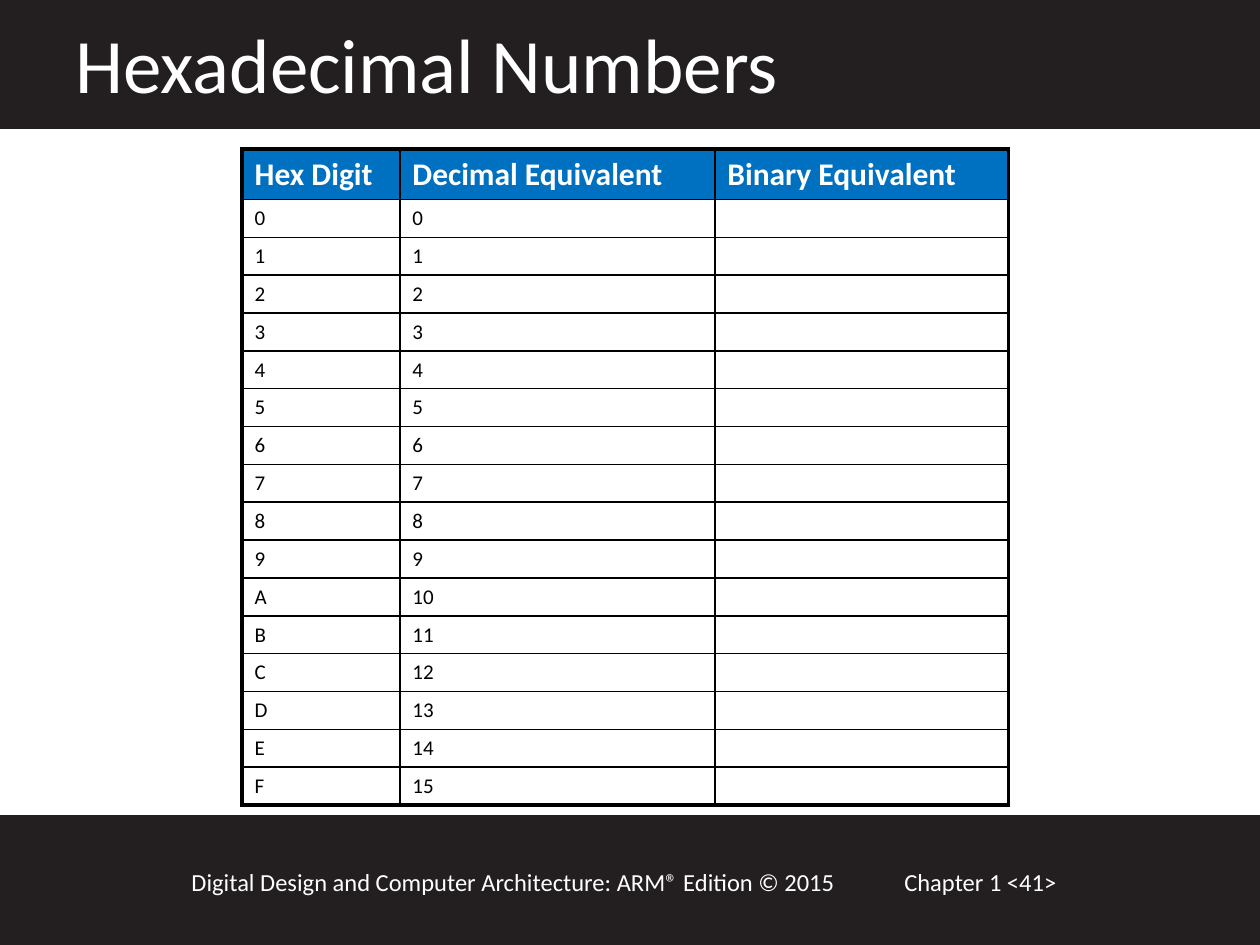
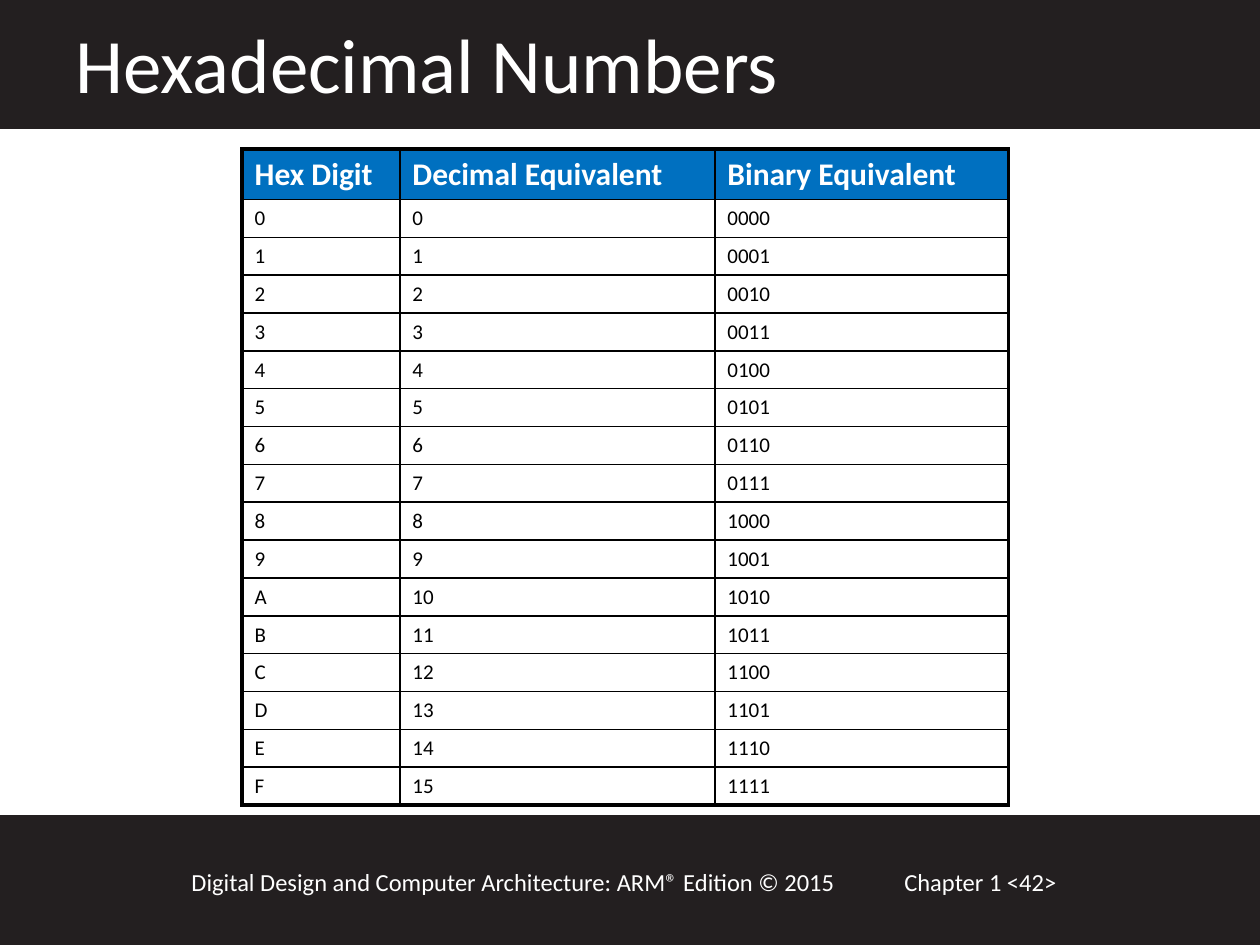
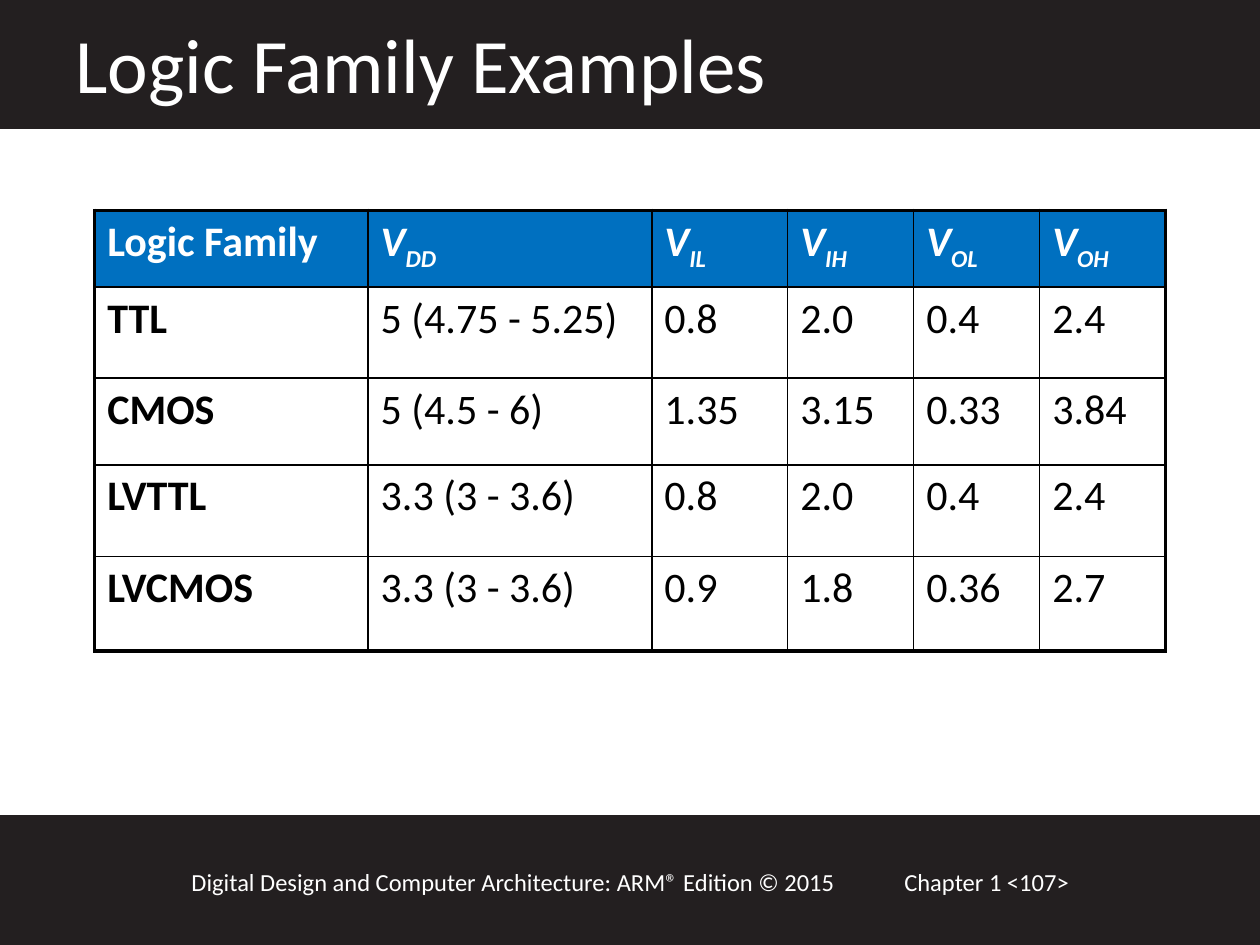
from dataclasses import dataclass

import pptx
import pptx.dml.color
import pptx.enum.shapes
import pptx.enum.text
import pptx.oxml.ns
import pptx.slide
import pptx.table
import pptx.text.text
import pptx.util
from lxml import etree

Cm, Pt = pptx.util.Cm, pptx.util.Pt

# Shared look
FONT = "Calibri"
DARK, BLUE, WHITE, BLACK = "231F20", "0070C0", "FFFFFF", "000000"
THICK, THIN = 2.25, 1.0
BOOK = "Digital Design and Computer Architecture: ARM® Edition © 2015"


@dataclass(frozen=True)
class Box:
    left: float
    top: float
    width: float
    height: float

    def place(self) -> tuple[pptx.util.Length, ...]:
        return Cm(self.left), Cm(self.top), Cm(self.width), Cm(self.height)


@dataclass(frozen=True)
class Style:
    size: float
    color: str
    bold: bool = False
    slant: bool = False


@dataclass(frozen=True)
class Grid:
    left: float
    top: float
    cols: list[float]
    rows: list[float]
    cells: list[list[str]]
    head: float
    body: float
    bold_first: bool = False


@dataclass(frozen=True)
class Page:
    title: str
    number: int
    grid: Grid


BANDS = [Box(0, 16.46, 25.4, 2.59), Box(0, 0, 25.4, 2.57)]
TITLE = Box(1.27, 0.2, 22.02, 2.13)
BOOK_BOX = Box(3.61, 17.35, 14.6, 0.86)
PAGE_BOX = Box(17.98, 17.35, 5.51, 0.86)


def tint(color: str) -> pptx.dml.color.RGBColor:
    return pptx.dml.color.RGBColor.from_string(color)


# Text
def add_run(para: pptx.text.text._Paragraph, text: str, style: Style,
            shift: int = 0) -> None:
    run = para.add_run()
    run.text = text
    font = run.font
    font.name, font.size = FONT, Pt(style.size)
    font.bold, font.italic = style.bold, style.slant
    font.color.rgb = tint(style.color)
    if shift:
        run._r.get_or_add_rPr().set("baseline", str(shift * 1000))


def fill_frame(frame: pptx.text.text.TextFrame, text: str, style: Style) -> None:
    frame.word_wrap = True
    frame.vertical_anchor = pptx.enum.text.MSO_ANCHOR.TOP
    frame.auto_size = pptx.enum.text.MSO_AUTO_SIZE.SHAPE_TO_FIT_TEXT
    para = frame.paragraphs[0]
    para.alignment = pptx.enum.text.PP_ALIGN.LEFT
    add_run(para, text, style)


# Bands, footers and title
def add_frame(slide: pptx.slide.Slide, page: Page) -> None:
    for band in BANDS:
        shape = slide.shapes.add_shape(
            pptx.enum.shapes.MSO_SHAPE.RECTANGLE, *band.place())
        shape.shadow.inherit = False
        shape.fill.solid()
        shape.fill.fore_color.rgb = tint(DARK)
        shape.line.color.rgb = tint(DARK)
        shape.line.width = Pt(2)
    notes = [(PAGE_BOX, f"Chapter 1 <{page.number}>"), (BOOK_BOX, BOOK)]
    for box, text in notes:
        label = slide.shapes.add_textbox(*box.place())
        fill_frame(label.text_frame, text, Style(14, WHITE))
    title = slide.shapes.title
    title.left, title.top, title.width, title.height = TITLE.place()
    fill_frame(title.text_frame, page.title, Style(44, WHITE))
    title.element.getparent().append(title.element)  # above the band


# Tables
def add_edge(cell: pptx.table._Cell, side: str, width: float) -> None:
    qn = pptx.oxml.ns.qn
    line = etree.SubElement(cell._tc.get_or_add_tcPr(), qn(f"a:ln{side}"),
                            w=str(int(Pt(width))))
    fill = etree.SubElement(line, qn("a:solidFill"))
    etree.SubElement(fill, qn("a:srgbClr"), val=BLACK)


def fill_cell(cell: pptx.table._Cell, text: str, style: Style) -> None:
    para = cell.text_frame.paragraphs[0]
    if not text:  # keeps an empty row as low as a filled one
        etree.SubElement(para._p, pptx.oxml.ns.qn("a:endParaRPr"),
                         sz=str(int(style.size * 100)))
        return
    base, _, sub = text.partition("_")
    if sub:
        style = Style(style.size, style.color, style.bold, slant=True)
    add_run(para, base, style)
    if sub:
        add_run(para, sub, style, shift=-25)


def add_grid(slide: pptx.slide.Slide, grid: Grid) -> None:
    box = Box(grid.left, grid.top, sum(grid.cols), sum(grid.rows))
    count, span = len(grid.rows), len(grid.cols)
    table = slide.shapes.add_table(count, span, *box.place()).table
    table.first_row = table.horz_banding = False
    for col, width in zip(table.columns, grid.cols):
        col.width = Cm(width)
    for row, height in zip(table.rows, grid.rows):
        row.height = Cm(height)
    for r, line in enumerate(grid.cells):
        for c, text in enumerate(line):
            cell = table.cell(r, c)
            outer = {"L": c == 0, "R": c == span - 1,
                     "T": r == 0, "B": r == count - 1}
            for side, edge in outer.items():
                add_edge(cell, side, THICK if edge else THIN)
            cell.fill.solid()
            cell.fill.fore_color.rgb = tint(WHITE if r else BLUE)
            if r:
                style = Style(grid.body, BLACK, grid.bold_first and c == 0)
            else:
                style = Style(grid.head, WHITE, bold=True)
            fill_cell(cell, text, style)


# Content
def hex_grid(solved: bool) -> Grid:
    cells = [["Hex Digit", "Decimal Equivalent", "Binary Equivalent"]]
    cells += [[f"{n:X}", str(n), f"{n:04b}" if solved else ""]
              for n in range(16)]
    return Grid(4.88, 3.0, [3.18, 6.35, 5.92], [1.02] + [0.76] * 16,
                cells, head=18, body=12)


LOGIC = Grid(
    1.91, 4.24, [5.51, 5.72, 2.74] + [2.54] * 3,
    [1.55, 1.83, 1.75, 1.85, 1.9],
    [
        ["Logic Family", "V_DD", "V_IL", "V_IH", "V_OL", "V_OH"],
        ["TTL", "5 (4.75 - 5.25)", "0.8", "2.0", "0.4", "2.4"],
        ["CMOS", "5 (4.5 - 6)", "1.35", "3.15", "0.33", "3.84"],
        ["LVTTL", "3.3 (3 - 3.6)", "0.8", "2.0", "0.4", "2.4"],
        ["LVCMOS", "3.3 (3 - 3.6)", "0.9", "1.8", "0.36", "2.7"],
    ],
    head=24, body=24, bold_first=True)

PAGES = [
    Page("Hexadecimal Numbers", 41, hex_grid(solved=False)),
    Page("Hexadecimal Numbers", 42, hex_grid(solved=True)),
    Page("Logic Family Examples", 107, LOGIC),
]


def main() -> None:
    deck = pptx.Presentation()
    deck.slide_width, deck.slide_height = Cm(25.4), Cm(19.05)
    layout = deck.slide_layouts.get_by_name("Title Only")
    for page in PAGES:
        slide = deck.slides.add_slide(layout)
        add_frame(slide, page)
        add_grid(slide, page.grid)
    deck.save("out.pptx")


if __name__ == "__main__":
    main()
